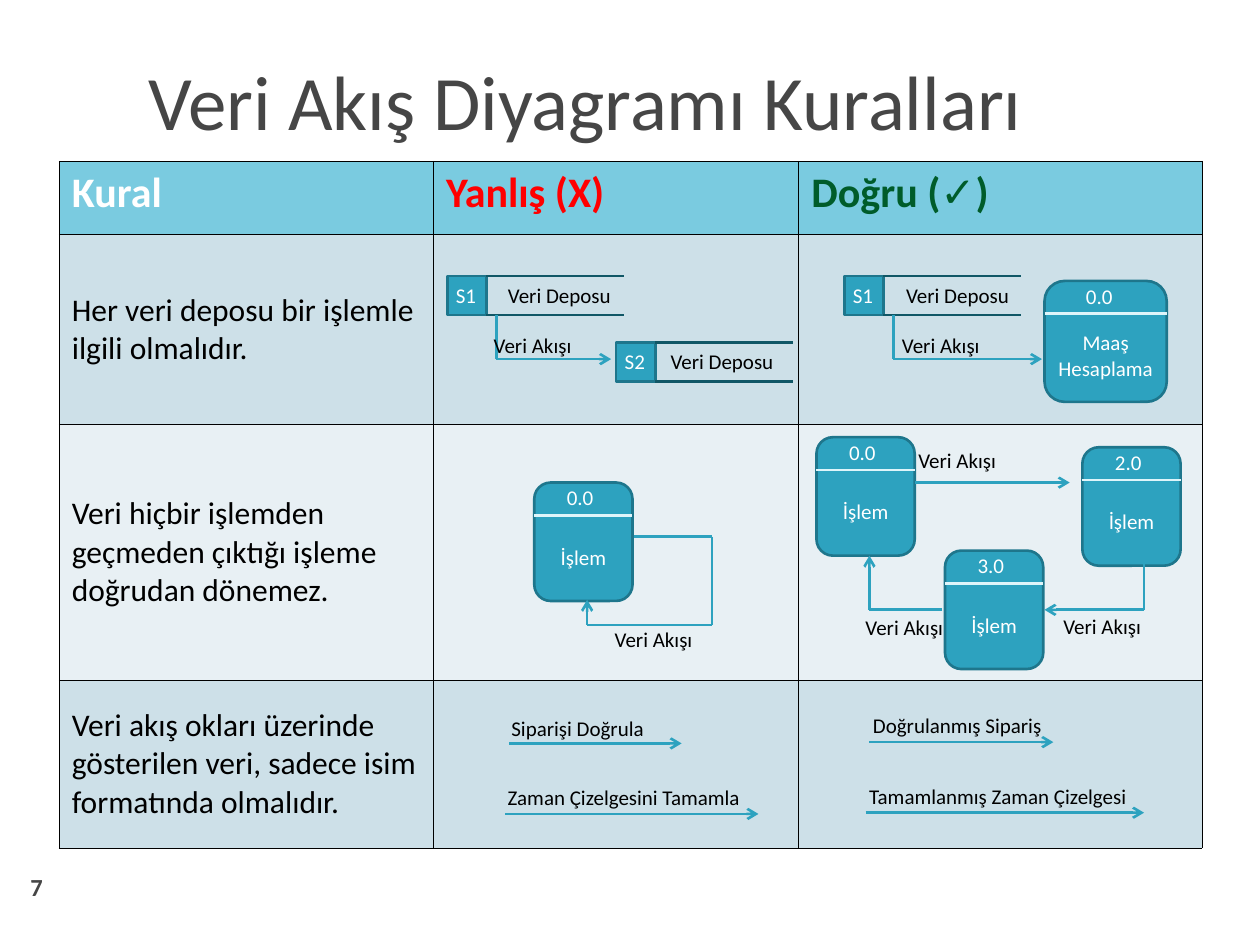
from dataclasses import dataclass
from itertools import pairwise

from lxml import etree
from pptx import Presentation
from pptx.dml.color import RGBColor
from pptx.enum.shapes import MSO_CONNECTOR, MSO_SHAPE
from pptx.enum.text import MSO_ANCHOR, MSO_AUTO_SIZE, PP_ALIGN
from pptx.oxml.ns import qn
from pptx.util import Inches, Pt

STRAIGHT = MSO_CONNECTOR.STRAIGHT
PROCESS_SHAPE = MSO_SHAPE.FLOWCHART_ALTERNATE_PROCESS
STORE_SHAPE = MSO_SHAPE.FLOWCHART_PROCESS
MIDDLE, TOP = MSO_ANCHOR.MIDDLE, MSO_ANCHOR.TOP
LEFT, CENTER = PP_ALIGN.LEFT, PP_ALIGN.CENTER
FIT_TEXT = MSO_AUTO_SIZE.SHAPE_TO_FIT_TEXT

COLORS = {
    "black": "000000", "white": "FFFFFF", "gray": "464646",
    "red": "FF0000", "green": "005C2A",
    "header": "7ACBE0", "odd_row": "CDE0E8", "even_row": "E8F0F4",
    "teal": "2DA2BF", "outline": "1E768C", "store_rule": "105766",
    "process_rule": "DEF5FA",
}
FORMATS = {
    "title": {"size": Pt(44), "name": "Calibri"},
    "number": {"size": Pt(14), "name": "Calibri", "bold": True},
    "header": {"size": Pt(24), "name": "Calibri", "bold": True},
    "check": {"size": Pt(24), "name": "Arial", "bold": True},
    "rule": {"size": Pt(18), "name": "Calibri", "bold": False},
    "diagram": {"size": Pt(12), "name": "Calibri"},
}
LINE_WIDTH = Pt(1.5)
LABEL_HEIGHT = 0.3
STORE_SIZE, STORE_RULE = 0.31, 1.09

COLUMN_WIDTHS = [2.97, 2.9, 3.2]
ROW_HEIGHTS = [0.58, 1.51, 2.03, 1.33]
HEADERS = [
    ("white", [("Kural", "header")]),
    ("red", [("Yanlış (X)", "header")]),
    ("green", [("Doğru (", "header"), ("✓", "check"), (")", "header")]),
]
RULES = [
    "Her veri deposu bir işlemle ilgili olmalıdır.",
    "Veri hiçbir işlemden geçmeden çıktığı işleme doğrudan dönemez.",
    "Veri akış okları üzerinde gösterilen veri, sadece isim formatında olmalıdır.",
]


@dataclass
class Process:
    code: str
    x: float
    y: float
    label: str = "İşlem"
    width: float = 0.78
    height: float = 0.94
    code_offset: float = 0.16
    label_offset: float = 0.44


@dataclass
class Store:
    code: str
    x: float
    y: float
    label_center: float


@dataclass
class Flow:
    points: list[tuple[float, float]]
    label_x: float
    label_y: float
    label_width: float = 0.82
    label: str = "Veri Akışı"


PROCESSES = [
    Process("0.0", 6.48, 3.47),
    Process("3.0", 7.5, 4.37),
    Process("2.0", 8.59, 3.55),
    Process("0.0", 8.29, 2.23, "Maaş\nHesaplama", 0.97, 0.96, 0.23, 0.34),
    Process("0.0", 4.24, 3.83),
]
STORES = [
    Store("S1", 6.7, 2.19, 7.6),
    Store("S1", 3.55, 2.19, 4.44),
    Store("S2", 4.89, 2.72, 5.73),
]
FLOWS = [
    Flow([(7.26, 3.83), (8.49, 3.83)], 7.19, 3.5),
    Flow([(7.09, 2.5), (7.09, 2.85), (8.27, 2.85)], 7.06, 2.59),
    Flow([(3.94, 2.5), (3.94, 2.85), (4.85, 2.85)], 3.82, 2.59),
    Flow([(5.03, 4.26), (5.65, 4.26), (5.65, 4.96), (4.66, 4.96), (4.66, 4.76)], 4.78, 4.92),
    Flow([(9.08, 4.48), (9.08, 4.84), (8.29, 4.84)], 8.34, 4.82),
    Flow([(7.48, 4.84), (6.9, 4.84), (6.9, 4.41)], 6.77, 4.83),
    Flow([(4.04, 5.9), (5.41, 5.9)], 3.96, 5.63, 1.25, "Siparişi Doğrula"),
    Flow([(4.01, 6.46), (6.02, 6.46)], 3.93, 6.18, 2.06, "Zaman Çizelgesini Tamamla"),
    Flow([(6.9, 5.89), (8.36, 5.89)], 6.83, 5.61, 1.54, "Doğrulanmış Sipariş"),
    Flow([(6.87, 6.45), (9.08, 6.45)], 6.8, 6.17, 2.26, "Tamamlanmış Zaman Çizelgesi"),
]


def rgb(color: str) -> RGBColor:
    return RGBColor.from_string(COLORS[color])


def add_run(paragraph, text: str, style: str, color: str) -> None:
    run = paragraph.add_run()
    run.text = text
    for attribute, value in FORMATS[style].items():
        setattr(run.font, attribute, value)
    run.font.color.rgb = rgb(color)


def add_text(slide, text: str, x: float, y: float, width: float, height: float = LABEL_HEIGHT,
             color: str = "black", style: str = "diagram", align=LEFT, wrap: bool = True) -> None:
    frame = slide.shapes.add_textbox(Inches(x), Inches(y), Inches(width), Inches(height)).text_frame
    frame.word_wrap = wrap
    if style == "diagram":
        frame.auto_size = FIT_TEXT
        frame.vertical_anchor = TOP
    else:
        frame.vertical_anchor = MIDDLE
    for index, line in enumerate(text.split("\n")):
        paragraph = frame.add_paragraph() if index else frame.paragraphs[0]
        paragraph.alignment = align
        add_run(paragraph, line, style, color)


def add_line(slide, start: tuple[float, float], end: tuple[float, float],
             color: str, arrow: bool = False) -> None:
    line = slide.shapes.add_connector(STRAIGHT, *map(Inches, (*start, *end)))
    line.line.color.rgb = rgb(color)
    line.line.width = LINE_WIDTH
    if arrow:
        etree.SubElement(line.line._get_or_add_ln(), qn("a:tailEnd"), type="arrow")
    etree.SubElement(line._element.spPr, qn("a:effectLst"))


def add_block(slide, kind, x: float, y: float, width: float, height: float) -> None:
    block = slide.shapes.add_shape(kind, Inches(x), Inches(y), Inches(width), Inches(height))
    block.shadow.inherit = False
    block.fill.solid()
    block.fill.fore_color.rgb = rgb("teal")
    block.line.color.rgb = rgb("outline")
    block.line.width = LINE_WIDTH


def draw_process(slide, process: Process) -> None:
    x, y, width = process.x, process.y, process.width
    add_block(slide, PROCESS_SHAPE, x, y, width, process.height)
    add_line(slide, (x, y + 0.26), (x + width, y + 0.26), "process_rule")
    add_text(slide, process.code, x + process.code_offset, y - 0.03, 0.41, color="white", wrap=False)
    add_text(slide, process.label, x, y + process.label_offset, width, color="white", align=CENTER)


def draw_store(slide, store: Store) -> None:
    add_block(slide, STORE_SHAPE, store.x, store.y, STORE_SIZE, STORE_SIZE)
    rule_x = store.x + STORE_SIZE
    for rule_y in (store.y, store.y + STORE_SIZE):
        add_line(slide, (rule_x, rule_y), (rule_x + STORE_RULE, rule_y), "store_rule")
    add_text(slide, store.code, store.x - 0.03, store.y, 0.5, color="white")
    add_text(slide, "Veri Deposu", store.label_center - 0.64, store.y, 1.28, align=CENTER)


def draw_flow(slide, flow: Flow) -> None:
    for start, end in pairwise(flow.points):
        add_line(slide, start, end, "teal", arrow=end == flow.points[-1])
    add_text(slide, flow.label, flow.label_x, flow.label_y, flow.label_width, wrap=False)


def style_cell(cell, fill: str) -> None:
    properties = cell._tc.get_or_add_tcPr()
    for side in ("lnL", "lnR", "lnT", "lnB"):
        border = etree.SubElement(properties, qn(f"a:{side}"), w=str(Pt(0.45)))
        border_fill = etree.SubElement(border, qn("a:solidFill"))
        etree.SubElement(border_fill, qn("a:srgbClr"), val=COLORS["black"])
    cell.fill.solid()
    cell.fill.fore_color.rgb = rgb(fill)


def draw_rule_table(slide) -> None:
    table = slide.shapes.add_table(
        len(ROW_HEIGHTS), len(COLUMN_WIDTHS), Inches(0.47), Inches(1.28),
        Inches(sum(COLUMN_WIDTHS)), Inches(sum(ROW_HEIGHTS))).table
    for column, width in zip(table.columns, COLUMN_WIDTHS):
        column.width = Inches(width)
    for row, height, fill in zip(table.rows, ROW_HEIGHTS, ("header", "odd_row", "even_row", "odd_row")):
        row.height = Inches(height)
        for cell in row.cells:
            style_cell(cell, fill)
    for index, (color, runs) in enumerate(HEADERS):
        for text, style in runs:
            add_run(table.cell(0, index).text_frame.paragraphs[0], text, style, color)
    for index, rule in enumerate(RULES, start=1):
        cell = table.cell(index, 0)
        cell.vertical_anchor = MIDDLE
        add_run(cell.text_frame.paragraphs[0], rule, "rule", "black")


def main() -> None:
    deck = Presentation()
    deck.slide_width, deck.slide_height = Inches(10), Inches(7.5)
    slide = deck.slides.add_slide(deck.slide_layouts[6])
    add_text(slide, "7", 0, 6.83, 0.58, 0.42, "gray", "number", CENTER)
    add_text(slide, "Veri Akış Diyagramı Kuralları", 1.08, 0.25, 8.92, 1.08, "gray", "title")
    draw_rule_table(slide)
    for draw, parts in ((draw_process, PROCESSES), (draw_store, STORES), (draw_flow, FLOWS)):
        for part in parts:
            draw(slide, part)
    deck.save("out.pptx")


if __name__ == "__main__":
    main()
